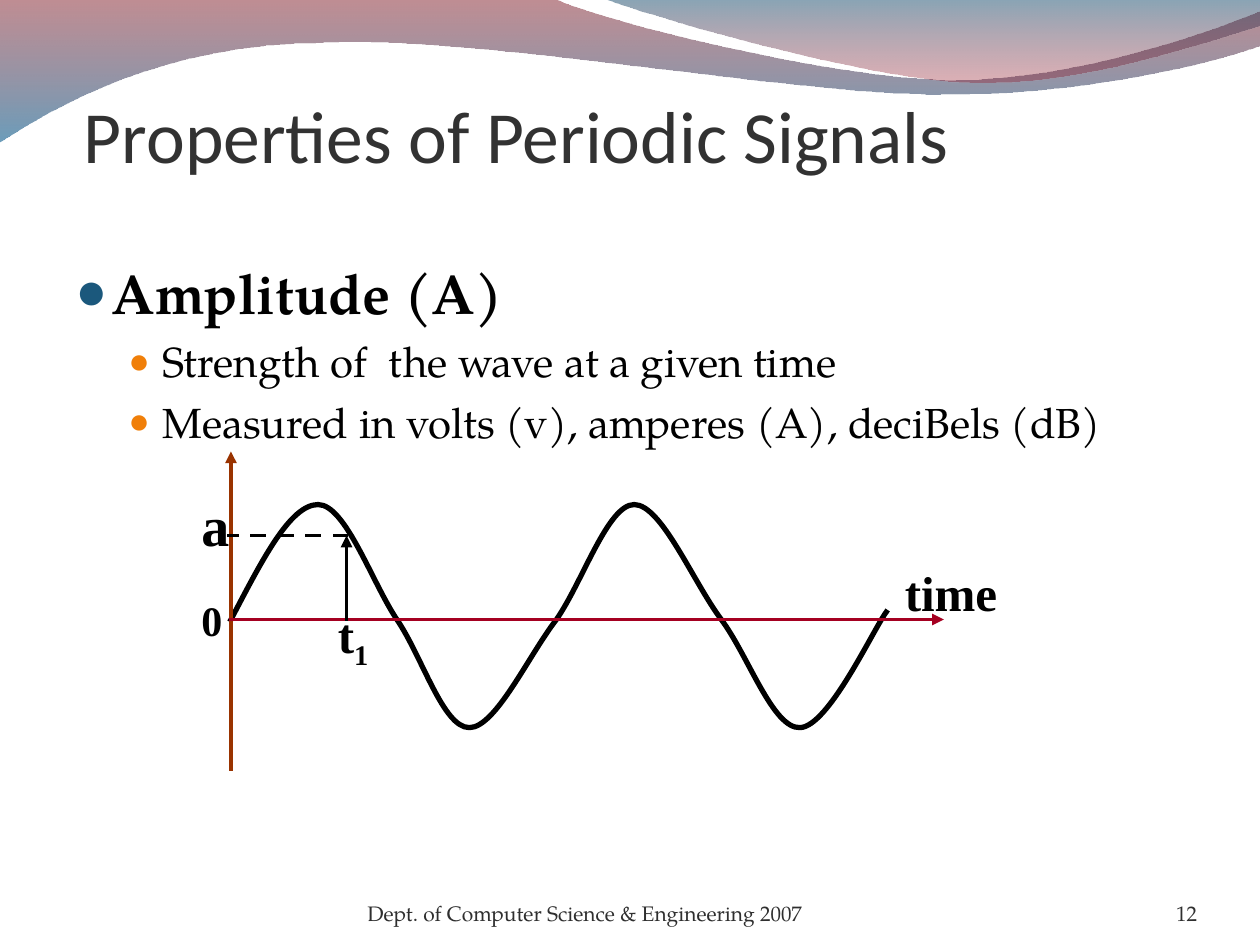
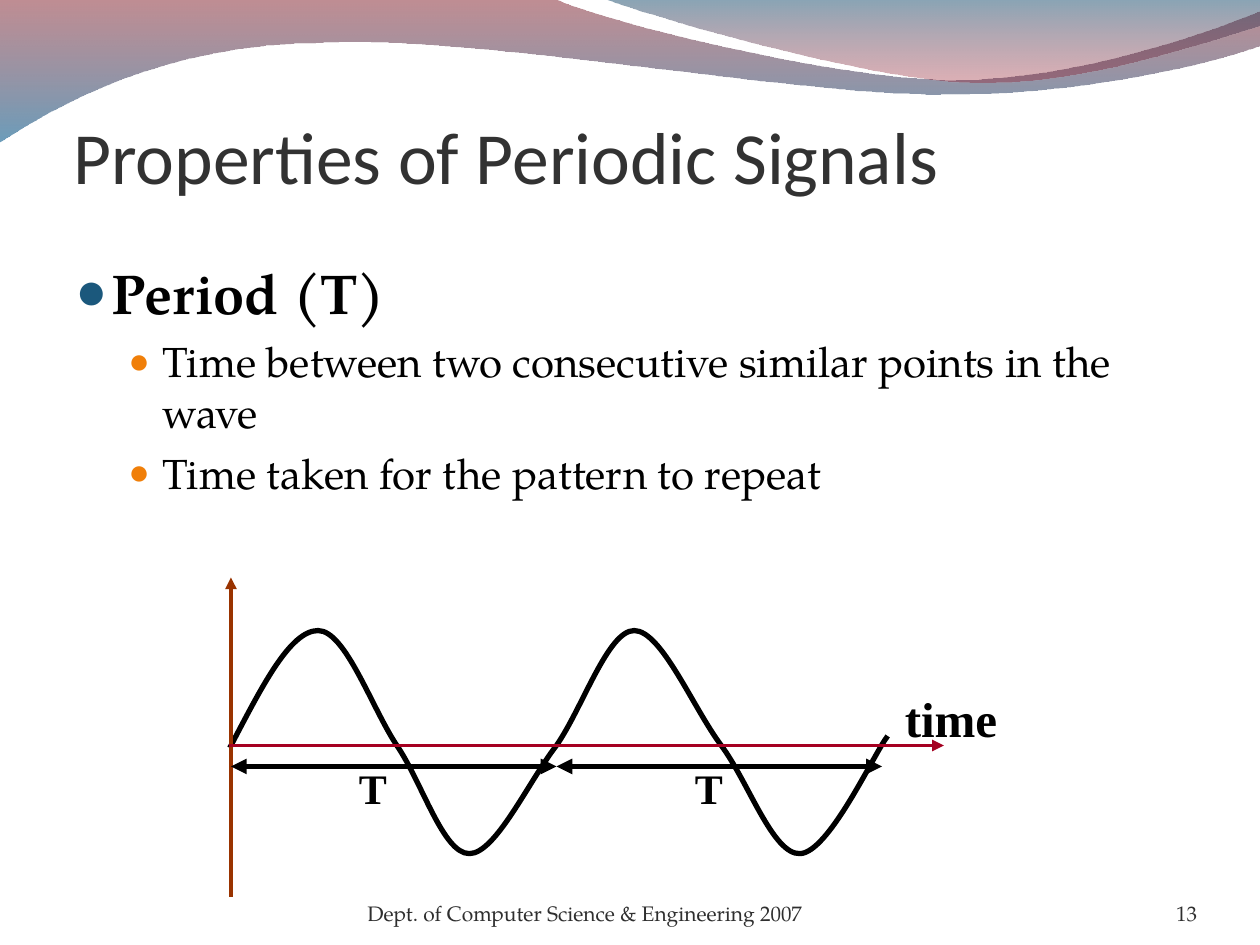
from lxml.etree import SubElement
from pptx import Presentation
from pptx.dml.color import RGBColor
from pptx.enum.dml import MSO_LINE
from pptx.enum.shapes import MSO_CONNECTOR
from pptx.enum.text import MSO_ANCHOR, PP_ALIGN
from pptx.oxml.ns import qn
from pptx.util import Emu, Inches, Pt

COLUMNS, ROWS = 120, 90
CELL = Inches(10) / COLUMNS
BODY_FONT, TITLE_FONT, LABEL_FONT = "TeX Gyre Pagella", "Calibri", "Times New Roman"
BLACK, TITLE_COLOR, FOOTER_COLOR = "000000", "323232", "2F2F2F"
AMPLITUDE_AXIS, TIME_AXIS = "993300", "A50021"
TITLE = "Properties of Periodic Signals"
FOOTER = "Dept. of Computer Science & Engineering 2007"
LABEL_INSETS = (1.2, 0.6, 1.2, 0.6)

BULLETS = [
    {"size": 32, "bold": True, "before": 6.5, "left": 0.29, "hang": 0.29, "color": "1B587C", "percent": 95},
    {"size": 24, "bold": False, "before": 6, "left": 0.69, "hang": 0.27, "color": "F07F09", "percent": 85},
]

BANDS = [
    {"start": (0, -0.1),
     "segments": [
         [(52.8, -0.1)],
         [(57.1, 2), (79.7, 7.6), (91, 7.6)],
         [(102.4, 7.6), (115, 3.1), (120, 1.1)],
         [(120.1, 4.3)],
         [(118, 5.3), (104.4, 9.1), (89.5, 9)],
         [(74.6, 9), (45.8, 3.4), (30.8, 4.1)],
         [(15.5, 4.2), (5.5, 10), (-0.1, 13.6)]],
     "stops": [("7C121E", 48), ("005588", 58)]},
    {"start": (57.5, -0.1),
     "segments": [
         [(61.1, 1.3), (81.8, 7.4), (92.3, 7.8)],
         [(102.7, 8.3), (115.3, 3.8), (120, 2.5)],
         [(120, 0)]],
     "stops": [("064164", 48), ("A00E1E", 33)]},
]

WAVE = [
    [(2.9, -5.5), (5.6, -10.95), (8.3, -10.95)],
    [(10.9, -10.95), (13.4, -3.6), (15.8, 0)],
    [(18.2, 3.5), (20.2, 10.3), (22.7, 10.3)],
    [(25.2, 10.3), (28.3, 3.5), (31, 0)],
    [(33.5, -3.6), (35.9, -10.95), (38.4, -10.95)],
    [(41, -10.95), (44, -3.6), (46.7, 0)],
    [(49.3, 3.5), (51.6, 10.4), (54.2, 10.3)],
    [(56.9, 10.2), (61.1, 1.1), (62.4, -0.7)],
]

AXES = [
    {"start": (0, 14.2), "end": (0, -16), "color": AMPLITUDE_AXIS, "arrows": ["tailEnd"]},
    {"start": (0, 0), "end": (67.9, 0), "color": TIME_AXIS, "arrows": ["tailEnd"]},
]
TIME_LABEL = {"box": (63, -6, 14.9, 6.8), "runs": ["time"], "size": 28}
BOTH_ENDS = ["headEnd", "tailEnd"]

SLIDES = [
    {"number": "12", "title_at": (8, 8), "origin": (22, 59),
     "points": ["Amplitude (A)", "Strength of  the wave at a given time",
                "Measured in volts (v), amperes (A), deciBels (dB)"],
     "lines": [{"start": (11, -8), "end": (11, 0), "arrows": ["headEnd"]},
               {"start": (11, -8), "end": (-0.2, -8), "dashed": True}],
     "labels": [{"box": (-4, -12.9, 5.9, 7.7), "runs": ["a"], "size": 32},
                {"box": (9, -2, 7.9, 7.6), "runs": ["t", "1"], "size": 28},
                {"box": (-4, -3, 4, 6), "runs": ["0"], "size": 24}]},
    {"number": "13", "title_at": (7, 10), "origin": (22, 71),
     "points": ["Period (T)", "Time between two consecutive similar points in the wave",
                "Time taken for the pattern to repeat"],
     "lines": [{"start": (left, 2), "end": (left + 31, 2), "width": 3, "arrows": BOTH_ENDS}
               for left in (0, 31)],
     "labels": [{"box": (left, 1, 4.9, 6), "runs": ["T"], "size": 24} for left in (11, 43)]},
]


def cells(*values):
    return [Emu(round(value * CELL)) for value in values]


def color(value):
    return RGBColor.from_string(value)


def shift(point, origin):
    return point[0] + origin[0], point[1] + origin[1]


def add_outline(slide, start, segments, close):
    builder = slide.shapes.build_freeform(*cells(*start), scale=1.0)
    builder.add_line_segments([cells(*point) for segment in segments for point in segment], close=close)
    shape = builder.convert_to_shape()
    shape.shadow.inherit = False
    steps = iter(list(shape._element.iter(qn("a:lnTo"))))
    for segment in segments:
        curve, *others = [next(steps) for point in segment]
        for other in others:
            curve.append(other[0])
            other.getparent().remove(other)
        if others:
            curve.tag = qn("a:cubicBezTo")
    return shape


def add_band(slide, band):
    shape = add_outline(slide, band["start"], band["segments"], True)
    shape.line.fill.background()
    shape.fill.gradient()
    shape.fill.gradient_angle = 270
    for stop, (value, opacity) in zip(shape.fill.gradient_stops, band["stops"]):
        stop.color.rgb = color(value)
    for element, (value, opacity) in zip(shape._element.spPr.iter(qn("a:srgbClr")), band["stops"]):
        SubElement(element, qn("a:alpha"), val=str(opacity * 1000))


def style_line(shape, value, width):
    shape.line.color.rgb = color(value)
    shape.line.width = Pt(width)
    outline = shape._element.spPr.find(qn("a:ln"))
    outline.set("cap", "sq")
    return outline


def add_wave(slide, origin):
    segments = [[shift(point, origin) for point in segment] for segment in WAVE]
    shape = add_outline(slide, origin, segments, False)
    shape.fill.background()
    style_line(shape, BLACK, 3)


def add_line(slide, origin, line):
    ends = cells(*shift(line["start"], origin), *shift(line["end"], origin))
    connector = slide.shapes.add_connector(MSO_CONNECTOR.STRAIGHT, *ends)
    outline = style_line(connector, line.get("color", BLACK), line.get("width", 2.25))
    if line.get("dashed"):
        connector.line.dash_style = MSO_LINE.DASH
    for arrow in line.get("arrows", []):
        SubElement(outline, qn("a:" + arrow), type="triangle")
    SubElement(connector._element.spPr, qn("a:effectLst"))


def add_text_box(slide, box, insets=(0, 0, 0, 0), anchor=MSO_ANCHOR.TOP):
    frame = slide.shapes.add_textbox(*cells(*box)).text_frame
    frame.word_wrap = True
    frame.vertical_anchor = anchor
    frame.margin_left, frame.margin_top, frame.margin_right, frame.margin_bottom = cells(*insets)
    return frame


def add_run(paragraph, text, font, size, value, bold=False):
    run = paragraph.add_run()
    run.text = text
    run.font.name, run.font.size, run.font.bold = font, Pt(size), bold
    run.font.color.rgb = color(value)
    return run


def add_label(slide, origin, label):
    left, top, width, height = label["box"]
    frame = add_text_box(slide, (*shift((left, top), origin), width, height), LABEL_INSETS)
    paragraph = frame.paragraphs[0]
    paragraph.space_before = Pt(label["size"] * 0.625)
    for index, text in enumerate(label["runs"]):
        run = add_run(paragraph, text, LABEL_FONT, label["size"], BLACK, True)
        if index:
            run.font._element.set("baseline", "-25000")


def add_points(slide, points):
    frame = add_text_box(slide, (6, 24, 108, 56.4), LABEL_INSETS)
    for index, text in enumerate(points):
        level = min(index, 1)
        style = BULLETS[level]
        paragraph = frame.add_paragraph() if index else frame.paragraphs[0]
        paragraph.level = level
        paragraph.space_before = Pt(style["before"])
        properties = paragraph._element.get_or_add_pPr()
        properties.set("marL", str(Inches(style["left"])))
        properties.set("indent", str(-Inches(style["hang"])))
        bullet_color = SubElement(properties, qn("a:buClr"))
        SubElement(bullet_color, qn("a:srgbClr"), val=style["color"])
        SubElement(properties, qn("a:buSzPct"), val=str(style["percent"] * 1000))
        SubElement(properties, qn("a:buFont"), typeface=LABEL_FONT)
        SubElement(properties, qn("a:buChar"), char="●")
        add_run(paragraph, text, BODY_FONT, style["size"], BLACK, style["bold"])


def add_frame(slide, title_at, number):
    for band in BANDS:
        add_band(slide, band)
    for box, text, alignment in (((35, 83.4, 44, 4.8), FOOTER, PP_ALIGN.LEFT),
                                 ((104, 83.4, 10, 4.8), number, PP_ALIGN.RIGHT)):
        paragraph = add_text_box(slide, box, anchor=MSO_ANCHOR.BOTTOM).paragraphs[0]
        paragraph.alignment = alignment
        add_run(paragraph, text, BODY_FONT, 12, FOOTER_COLOR)
    title = add_text_box(slide, (*title_at, 102, 15), (0, 0.6, 0, 0))
    add_run(title.paragraphs[0], TITLE, TITLE_FONT, 42, TITLE_COLOR)


def main():
    """Build the two slides on the properties of periodic signals."""
    presentation = Presentation()
    presentation.slide_width, presentation.slide_height = cells(COLUMNS, ROWS)
    for content in SLIDES:
        slide = presentation.slides.add_slide(presentation.slide_layouts[6])
        origin = content["origin"]
        add_frame(slide, content["title_at"], content["number"])
        add_points(slide, content["points"])
        add_wave(slide, origin)
        for line in AXES + content["lines"]:
            add_line(slide, origin, line)
        for label in [TIME_LABEL] + content["labels"]:
            add_label(slide, origin, label)
    presentation.save("out.pptx")


if __name__ == "__main__":
    main()
